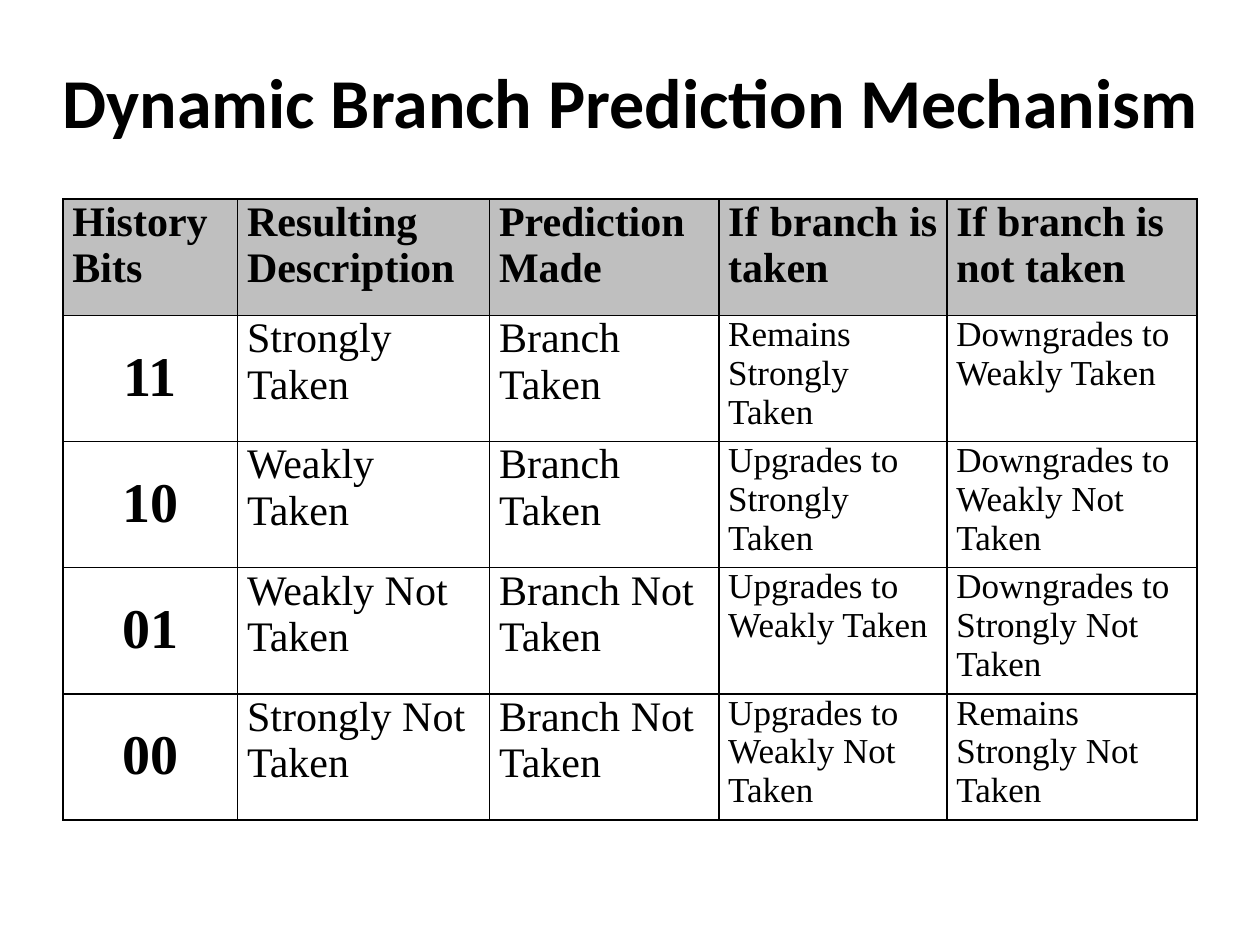
"""Build a slide with a table of the dynamic branch prediction states."""
from lxml.etree import SubElement
from pptx import Presentation
from pptx.dml.color import RGBColor
from pptx.enum.text import MSO_ANCHOR as Anchor, PP_ALIGN as Align
from pptx.oxml.ns import qn
from pptx.util import Cm, Pt

TITLE = "Dynamic Branch Prediction Mechanism"
HEADINGS = ["History Bits", "Resulting Description", "Prediction Made",
            "If branch is taken", "If branch is not taken"]
STATES = [
    ["11", "Strongly Taken", "Branch Taken",
     "Remains Strongly Taken", "Downgrades to Weakly Taken"],
    ["10", "Weakly Taken", "Branch Taken",
     "Upgrades to Strongly Taken", "Downgrades to Weakly Not Taken"],
    ["01", "Weakly Not Taken", "Branch Not Taken",
     "Upgrades to Weakly Taken", "Downgrades to Strongly Not Taken"],
    ["00", "Strongly Not Taken", "Branch Not Taken",
     "Upgrades to Weakly Not Taken", "Remains Strongly Not Taken"],
]
COLUMN_WIDTHS = [3.52, 5.08, 4.62, 4.6, 5.04]
STATE_SIZES = [32, 24, 24, 20, 20]
HEADING_SIZE = 24
ROW_HEIGHT = 2.35
JUSTIFIED = {0: range(4), 1: range(1, 3), 2: range(1, 3)}
COLORS = {"ink": "000000", "heading": "BFBFBF"}


def style_text(paragraph, font_name, size, bold, alignment):
    paragraph.alignment = alignment
    for run in paragraph.runs:
        run.font.name = font_name
        run.font.size = Pt(size)
        run.font.bold = bold
        run.font.color.rgb = RGBColor.from_string(COLORS["ink"])


def add_borders(cell):
    properties = cell._tc.get_or_add_tcPr()
    for position, side in enumerate(("lnL", "lnR", "lnT", "lnB")):
        border = SubElement(properties, qn(f"a:{side}"), w=str(Pt(1)))
        fill = SubElement(border, qn("a:solidFill"))
        SubElement(fill, qn("a:srgbClr"), val=COLORS["ink"])
        properties.insert(position, border)


def fill_cell(cell, text, row, column):
    is_heading = row == 0
    is_bits = column == 0 and not is_heading
    cell.text_frame.text = text
    cell.margin_left = cell.margin_right = Cm(0.19)
    cell.margin_top = cell.margin_bottom = 0
    if is_heading:
        cell.fill.solid()
        cell.fill.fore_color.rgb = RGBColor.from_string(COLORS["heading"])
    else:
        cell.fill.background()
    add_borders(cell)

    alignment = Align.LEFT
    if is_bits:
        alignment = Align.CENTER
    elif column in JUSTIFIED.get(row, ()):
        alignment = Align.JUSTIFY
    paragraph = cell.text_frame.paragraphs[0]
    if is_bits:
        paragraph.line_spacing = 1.5
    size = HEADING_SIZE if is_heading else STATE_SIZES[column]
    style_text(paragraph, "Times New Roman", size, is_heading or is_bits, alignment)


def add_title(slide):
    title = slide.shapes.add_textbox(Cm(0.64), Cm(0.43), Cm(24.13), Cm(3.18))
    frame = title.text_frame
    frame.word_wrap = True
    frame.vertical_anchor = Anchor.MIDDLE
    frame.text = TITLE
    style_text(frame.paragraphs[0], "Calibri", 40, True, Align.CENTER)


def add_states(slide):
    rows = [HEADINGS, *STATES]
    table = slide.shapes.add_table(
        len(rows), len(HEADINGS), Cm(1.27), Cm(4.01),
        Cm(sum(COLUMN_WIDTHS)), Cm(ROW_HEIGHT * len(rows))).table
    table.first_row = table.horz_banding = False
    for column, width in zip(table.columns, COLUMN_WIDTHS):
        column.width = Cm(width)
    for row, texts in enumerate(rows):
        table.rows[row].height = Cm(ROW_HEIGHT)
        for column, text in enumerate(texts):
            fill_cell(table.cell(row, column), text, row, column)


def main():
    deck = Presentation()
    deck.slide_width, deck.slide_height = Cm(25.4), Cm(19.05)
    slide = deck.slides.add_slide(deck.slide_layouts[6])
    add_title(slide)
    add_states(slide)
    deck.save("out.pptx")


if __name__ == "__main__":
    main()
